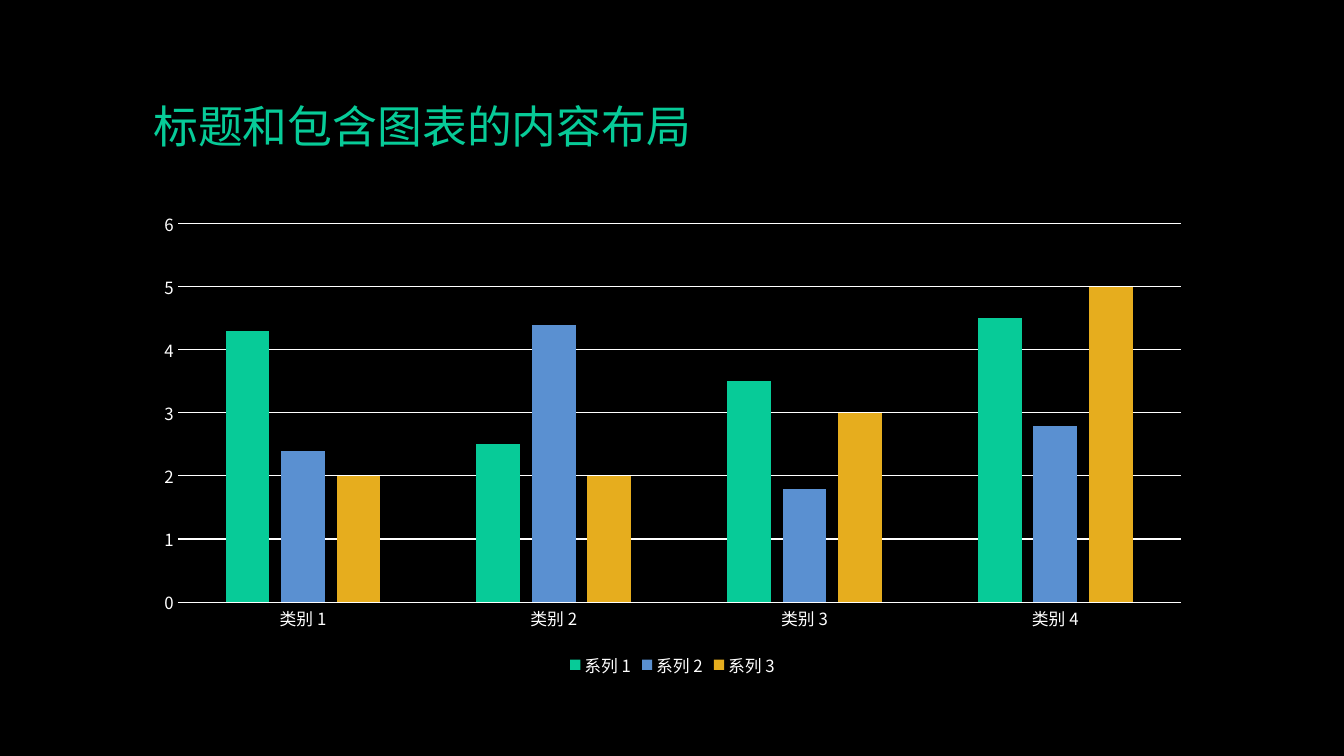
"""Build a dark slide with a title and a clustered column chart."""
from lxml import etree
from pptx import Presentation
from pptx.chart.data import CategoryChartData
from pptx.dml.color import RGBColor
from pptx.enum.chart import XL_CHART_TYPE, XL_LEGEND_POSITION, XL_TICK_MARK
from pptx.enum.text import MSO_ANCHOR, PP_ALIGN
from pptx.oxml.ns import qn
from pptx.util import Inches, Pt

TITLE = "标题和包含图表的内容布局"
CATS = ["类别 1", "类别 2", "类别 3", "类别 4"]
BLACK = RGBColor(0x00, 0x00, 0x00)
WHITE = RGBColor(0xFF, 0xFF, 0xFF)
GREEN = RGBColor(0x07, 0xCB, 0x98)
BLUE = RGBColor(0x5A, 0x90, 0xD1)
GOLD = RGBColor(0xE6, 0xAD, 0x1E)
SERIES = [
    ("系列 1", (4.3, 2.5, 3.5, 4.5), GREEN),
    ("系列 2", (2.4, 4.4, 1.8, 2.8), BLUE),
    ("系列 3", (2, 2, 3, 5), GOLD),
]
FACE = "Noto Sans CJK SC"
COLUMN = XL_CHART_TYPE.COLUMN_CLUSTERED
BELOW = XL_LEGEND_POSITION.BOTTOM
NONE = XL_TICK_MARK.NONE
BOTTOM = MSO_ANCHOR.BOTTOM
LEFT = PP_ALIGN.LEFT

WIDE, HIGH = 13.33, 7.5
EDGE, SPAN = 1.42, 10.5
TITLE_BOX = [Inches(n) for n in (EDGE, 0.4, SPAN, 1.17)]
CHART_BOX = [Inches(n) for n in (EDGE, 2, SPAN, 4.76)]


def style(font, size, color):
    font.size = Pt(size)
    font.bold = False
    font.color.rgb = color
    font.name = FACE
    latin = font._element.find(qn("a:latin")) if hasattr(font, "_element") else font._rPr.find(qn("a:latin"))
    east = etree.Element(qn("a:ea"), typeface=FACE)
    latin.addnext(east)


def rule(line):
    line.color.rgb = WHITE
    line.width = Pt(0.75)


def add_title(slide):
    title = slide.shapes.title
    title.left, title.top, title.width, title.height = TITLE_BOX
    frame = title.text_frame
    frame.text = TITLE
    frame.word_wrap = True
    frame.vertical_anchor = BOTTOM
    para = frame.paragraphs[0]
    para.alignment = LEFT
    para.line_spacing = 0.9
    style(para.runs[0].font, 32, GREEN)


def add_chart(slide):
    data = CategoryChartData()
    data.categories = CATS
    for name, vals, _ in SERIES:
        data.add_series(name, vals)
    chart = slide.shapes.add_chart(COLUMN, *CHART_BOX, data).chart
    chart.has_title = False
    style(chart.font, 10, WHITE)

    chart.has_legend = True
    chart.legend.position = BELOW
    chart.legend.include_in_layout = False
    style(chart.legend.font, 12, WHITE)

    cat, val = chart.category_axis, chart.value_axis
    for axis in (cat, val):
        axis.major_tick_mark = axis.minor_tick_mark = NONE
        style(axis.tick_labels.font, 12, WHITE)
    rule(cat.format.line)
    val.format.line.fill.background()
    val.minimum_scale, val.maximum_scale, val.major_unit = 0, 6, 1
    val.has_major_gridlines = True
    rule(val.major_gridlines.format.line)

    plot = chart.plots[0]
    plot.vary_by_categories = False
    plot.gap_width, plot.overlap = 219, -27
    for bars, (_, _, color) in zip(plot.series, SERIES):
        bars.format.fill.solid()
        bars.format.fill.fore_color.rgb = color


def main():
    deck = Presentation()
    deck.slide_width, deck.slide_height = Inches(WIDE), Inches(HIGH)
    slide = deck.slides.add_slide(deck.slide_layouts[5])
    fill = slide.background.fill
    fill.solid()
    fill.fore_color.rgb = BLACK
    add_title(slide)
    add_chart(slide)
    deck.save("out.pptx")


if __name__ == "__main__":
    main()
